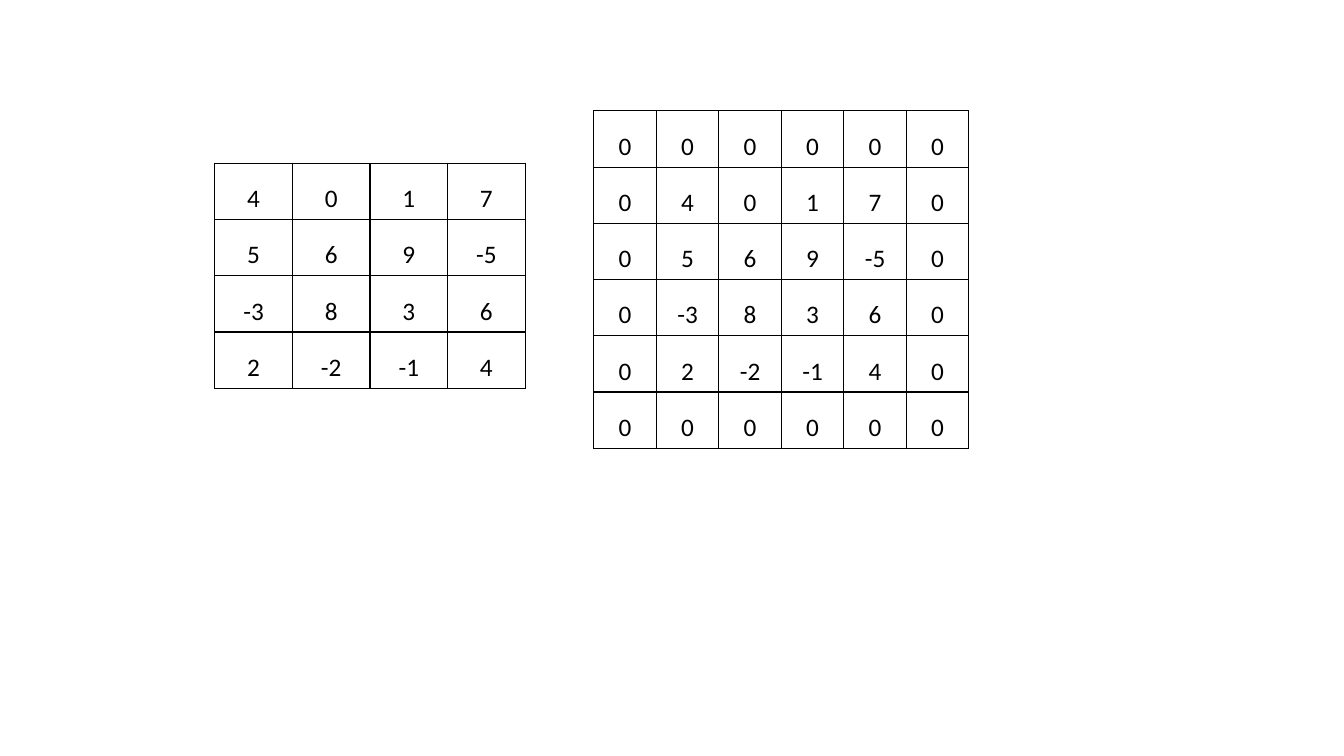
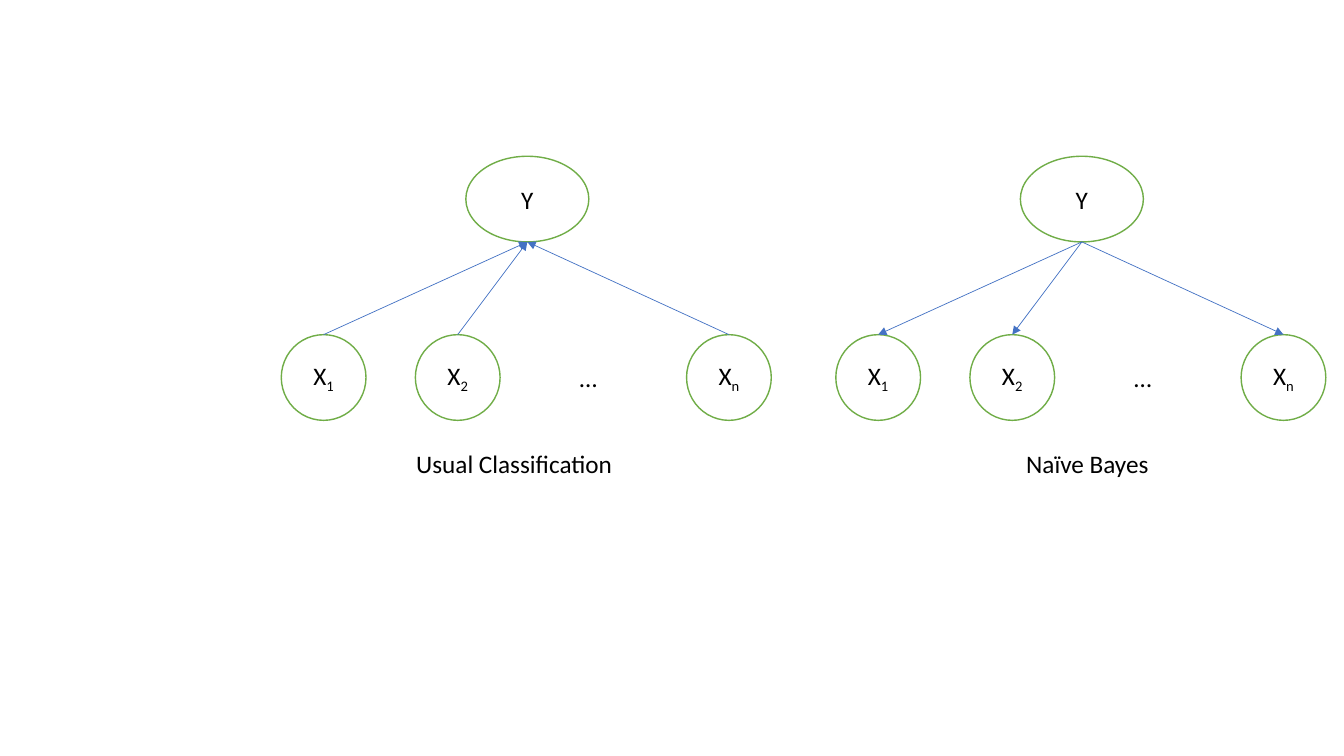
from lxml.etree import SubElement
from pptx import Presentation
from pptx.dml.color import RGBColor
from pptx.enum.shapes import MSO_CONNECTOR as CONN, MSO_SHAPE as SHAPE
from pptx.enum.text import MSO_ANCHOR as ANCHOR, MSO_AUTO_SIZE as FIT, PP_ALIGN as ALIGN
from pptx.oxml.ns import qn
from pptx.util import Inches, Pt

COLORS = {"text": "000000", "paper": "FFFFFF", "node": "70AD47", "arrow": "4472C4"}


def rgb(name):
    """Return the named colour."""
    return RGBColor.from_string(COLORS[name])


class Deck:
    """Hold the shared style and the current slide."""

    font, size = "Calibri", Pt(18)

    def __init__(self):
        """Start a widescreen presentation."""
        self.prs = Presentation()
        self.prs.slide_width, self.prs.slide_height = Inches(13.33), Inches(7.5)

    def add_slide(self):
        """Add a blank slide and make it current."""
        self.s = self.prs.slides.add_slide(self.prs.slide_layouts[6])

    def add_run(self, p, text, base=None):
        """Add one styled run, raised or lowered by base."""
        r = p.add_run()
        r.text = text
        r.font.name, r.font.size = self.font, self.size
        r.font.color.rgb = rgb("text")
        if base:
            r._r.get_or_add_rPr().set("baseline", str(base))

    def set_borders(self, cell):
        """Outline a cell with thin black lines."""
        tc_pr = cell._tc.get_or_add_tcPr()
        for side in "LRTB":
            ln = SubElement(tc_pr, qn(f"a:ln{side}"), w=str(Pt(1)))
            fill = SubElement(ln, qn("a:solidFill"))
            SubElement(fill, qn("a:srgbClr"), val=COLORS["text"])

    def matrix(self, x, y, col_w, row_h, values):
        """Draw a grid of numbers."""
        rows, cols = len(values), len(values[0])
        table = self.s.shapes.add_table(
            rows, cols, Inches(x), Inches(y), Inches(col_w * cols), Inches(row_h * rows)
        ).table
        table.first_row = table.horz_banding = False
        for i, row in enumerate(values):
            for j, value in enumerate(row):
                cell = table.cell(i, j)
                self.set_borders(cell)
                cell.fill.background()
                p = cell.text_frame.paragraphs[0]
                p.alignment, p.line_spacing = ALIGN.CENTER, 1.5
                self.add_run(p, str(value))

    def node(self, x, y, w, h, text, sub=None):
        """Draw an ellipse with a label and an optional subscript."""
        sp = self.s.shapes.add_shape(SHAPE.OVAL, Inches(x), Inches(y), Inches(w), Inches(h))
        sp.shadow.inherit = False
        sp.fill.solid()
        sp.fill.fore_color.rgb = rgb("paper")
        sp.line.color.rgb = rgb("node")
        sp.line.width = Pt(1)
        tf = sp.text_frame
        tf.vertical_anchor = ANCHOR.MIDDLE
        p = tf.paragraphs[0]
        p.alignment = ALIGN.CENTER
        self.add_run(p, text)
        if sub:
            self.add_run(p, sub, -25000)

    def arrow(self, start, end):
        """Draw an arrow between two points."""
        c = self.s.shapes.add_connector(CONN.STRAIGHT, *map(Inches, start + end))
        c.line.color.rgb = rgb("arrow")
        c.line.width = Pt(0.5)
        sp_pr = c._element.spPr
        SubElement(sp_pr.find(qn("a:ln")), qn("a:tailEnd"), type="triangle")
        SubElement(sp_pr, qn("a:effectLst"))

    def text(self, x, y, w, text, wrap=True):
        """Add a line of text."""
        tf = self.s.shapes.add_textbox(Inches(x), Inches(y), Inches(w), Inches(0.4)).text_frame
        tf.word_wrap, tf.auto_size = wrap, FIT.SHAPE_TO_FIT_TEXT
        self.add_run(tf.paragraphs[0], text)

    def tree(self, x, to_root):
        """Draw a class node above its features, with arrows up or down."""
        root_y, leaf_y, h, root_w, leaf_w = 1.55, 3.32, 0.85, 1.22, 0.84
        root_x = x + 1.83
        root = (root_x + root_w / 2, root_y + h)
        self.node(root_x, root_y, root_w, h, "Y")
        for dx, sub in ((0, "1"), (1.33, "2"), (4.02, "n")):
            self.node(x + dx, leaf_y, leaf_w, h, "X", sub)
            leaf = (x + dx + leaf_w / 2, leaf_y)
            self.arrow(*((leaf, root) if to_root else (root, leaf)))
        self.text(x + 2.86, 3.55, 0.38, "…", wrap=False)


deck = Deck()

deck.add_slide()
matrix = [[4, 0, 1, 7], [5, 6, 9, -5], [-3, 8, 3, 6], [2, -2, -1, 4]]
zeros = [0] * 6
padded = [zeros, *([0, *row, 0] for row in matrix), zeros]
deck.matrix(2.13, 1.62, 0.77, 0.53, matrix)
deck.matrix(5.89, 1.1, 0.62, 0.53, padded)

deck.add_slide()
for x, to_root, caption_x, caption in (
    (2.79, True, 4.03, "Usual Classification"),
    (8.29, False, 10.08, "Naïve Bayes"),
):
    deck.tree(x, to_root)
    deck.text(caption_x, 4.4, 2.2, caption)

deck.prs.save("out.pptx")
